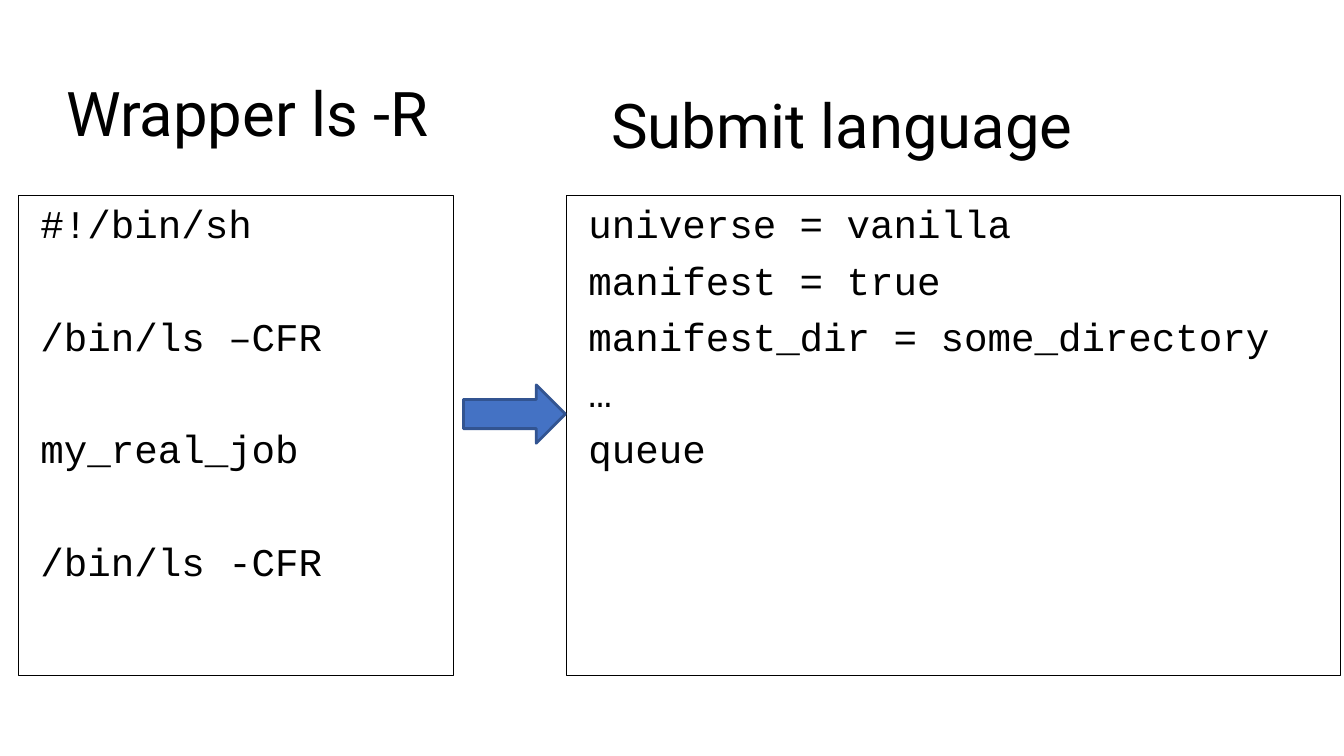
from pptx import Presentation
from pptx.dml.color import RGBColor
from pptx.enum.shapes import MSO_SHAPE
from pptx.enum.text import MSO_ANCHOR, PP_ALIGN
from pptx.util import Cm, Pt

RECT, ARROW = MSO_SHAPE.RECTANGLE, MSO_SHAPE.RIGHT_ARROW
TOP, MIDDLE = MSO_ANCHOR.TOP, MSO_ANCHOR.MIDDLE
LEFT = PP_ALIGN.LEFT

COLORS = {"ink": "000000", "blue": "4472C4", "edge": "325491"}
GAP = 10      # points between code lines
PITCH = 40.2  # points from one code line to the next


def color(name):
    return RGBColor.from_string(COLORS[name])


def write(para, text, font="Roboto", size=44, lead=0.9, before=0):
    para.alignment = LEFT
    para.line_spacing = lead
    para.space_before = Pt(before)
    run = para.add_run()
    run.text = text
    run.font.name = font
    run.font.size = Pt(size)
    run.font.color.rgb = color("ink")


def outline(shape, name, width):
    shape.shadow.inherit = False
    shape.line.color.rgb = color(name)
    shape.line.width = Pt(width)


def set_frame(shape, anchor, left, top):
    frame = shape.text_frame
    frame.word_wrap = True
    frame.vertical_anchor = anchor
    frame.margin_left, frame.margin_right = Cm(left), Cm(0.25)
    frame.margin_top, frame.margin_bottom = Cm(top), Cm(0.13)
    return frame


def add_title(slide, text, x, y, w, h):
    box = slide.shapes.add_textbox(Cm(x), Cm(y), Cm(w), Cm(h))
    frame = set_frame(box, MIDDLE, 0.25, 0.13)
    write(frame.paragraphs[0], text)


def add_code(slide, lines, x, y, w, h, skip=0):
    """Draw a framed listing with skip empty lines between its lines."""
    box = slide.shapes.add_shape(RECT, Cm(x), Cm(y), Cm(w), Cm(h))
    box.fill.background()
    outline(box, "ink", 0.75)
    frame = set_frame(box, TOP, 0.56, 0.22)
    for i, line in enumerate(lines):
        para = frame.add_paragraph() if i else frame.paragraphs[0]
        write(para, line, font="Courier New", size=28, lead=Pt(PITCH - GAP),
              before=GAP + skip * PITCH if i else 0)


def add_arrow(slide, x, y, w, h):
    arrow = slide.shapes.add_shape(ARROW, Cm(x), Cm(y), Cm(w), Cm(h))
    arrow.fill.solid()
    arrow.fill.fore_color.rgb = color("blue")
    outline(arrow, "edge", 2)


def main():
    deck = Presentation()
    deck.slide_width, deck.slide_height = Cm(33.87), Cm(19.05)
    slide = deck.slides.add_slide(deck.slide_layouts[6])

    # Wrapper script
    add_title(slide, "Wrapper ls -R", 1.42, 1.09, 14.4, 3.68)
    script = ["#!/bin/sh", "/bin/ls –CFR", "my_real_job", "/bin/ls -CFR"]
    add_code(slide, script, 0.46, 4.93, 10.97, 12.09, skip=1)

    # Submit file
    submit = ["universe = vanilla", "manifest = true",
              "manifest_dir = some_directory", "…", "queue"]
    add_code(slide, submit, 14.27, 4.93, 19.51, 12.09)
    add_title(slide, "Submit language", 15.16, 1.4, 17.91, 3.68)

    # Link between the two
    add_arrow(slide, 11.68, 9.7, 2.57, 1.47)

    deck.save("out.pptx")


if __name__ == "__main__":
    main()
